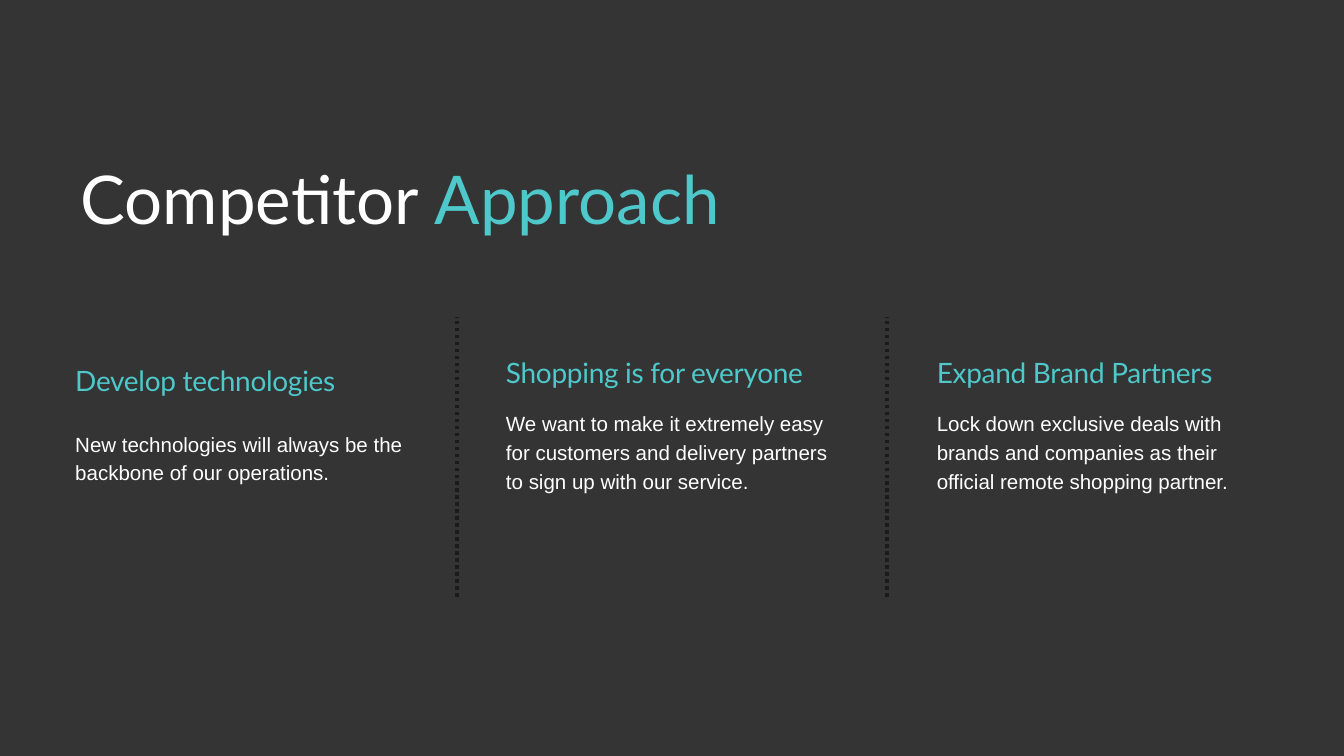
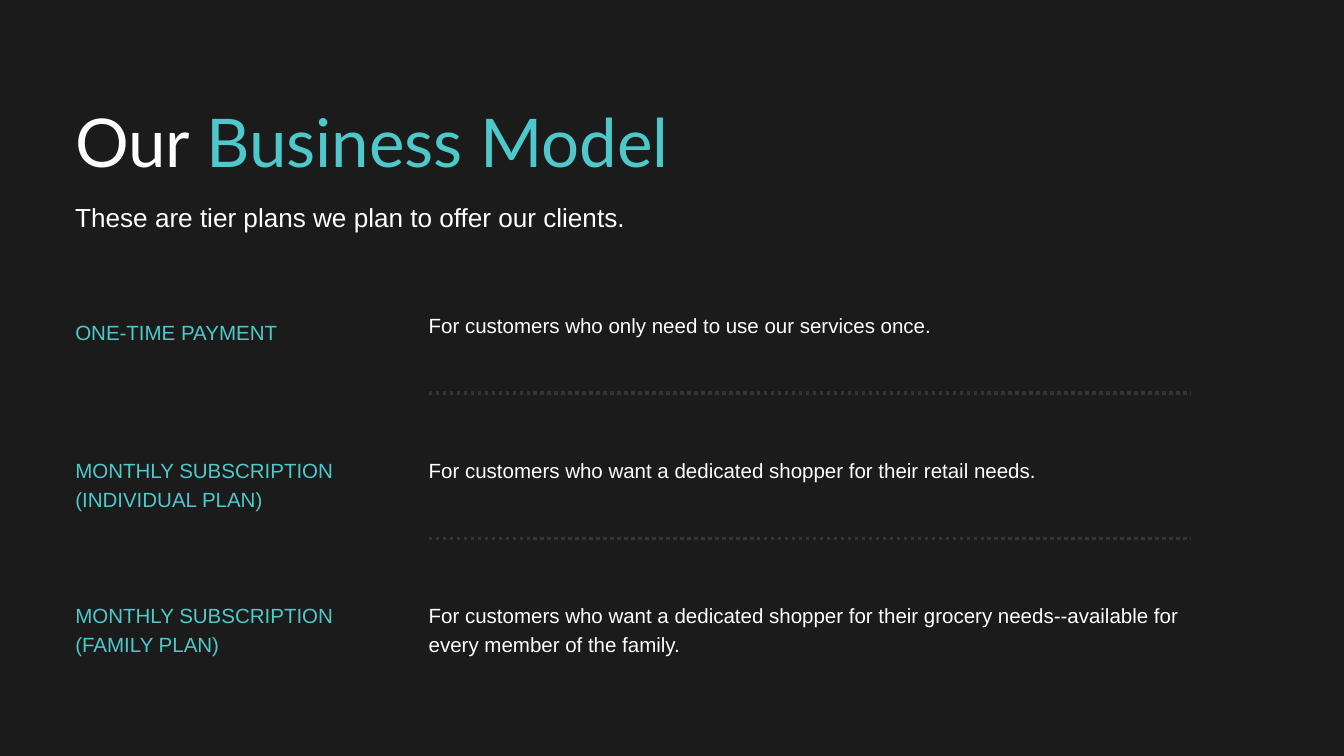
from dataclasses import dataclass

import pptx
import pptx.dml.color
import pptx.enum.dml
import pptx.enum.shapes
import pptx.oxml
import pptx.shapes.shapetree
import pptx.slide
import pptx.util

Inches = pptx.util.Inches
Pt = pptx.util.Pt

COLORS = {
    "charcoal": "343434",
    "black": "1B1B1B",
    "white": "FFFFFF",
    "teal": "4EC8CA",
}
MARGIN = 1.12


@dataclass(frozen=True)
class TextStyle:
    font: str
    size: float
    leading: float
    tracking: int = 0  # hundredths of a point


TITLE = TextStyle("Lato", 72, 86.4)
SUBTITLE = TextStyle("Arial", 28, 39.2)
HEADING = TextStyle("Lato", 30, 36, tracking=-30)
BODY = TextStyle("Arial", 22, 30.8)


@dataclass(frozen=True)
class Approach:
    heading: str
    body: str
    heading_top: float
    body_top: float
    body_height: float


@dataclass(frozen=True)
class Plan:
    label: str
    description: str
    label_top: float
    label_height: float
    description_height: float


APPROACHES = [
    Approach("Develop technologies",
             "New technologies will always be the backbone of our operations.",
             5.41, 6.36, 0.83),
    Approach("Shopping is for everyone",
             "We want to make it extremely easy for customers and delivery "
             "partners to sign up with our service.",
             5.29, 6.06, 1.25),
    Approach("Expand Brand Partners",
             "Lock down exclusive deals with brands and companies as their "
             "official remote shopping partner.",
             5.29, 6.06, 1.25),
]

PLANS = [
    Plan("ONE-TIME PAYMENT",
         "For customers who only need to use our services once.",
         4.7, 0.41, 0.42),
    Plan("MONTHLY SUBSCRIPTION (INDIVIDUAL PLAN)",
         "For customers who want a dedicated shopper for their retail needs.",
         6.76, 0.84, 0.42),
    Plan("MONTHLY SUBSCRIPTION (FAMILY PLAN)",
         "For customers who want a dedicated shopper for their grocery "
         "needs--available for every member of the family.",
         8.91, 0.84, 0.84),
]


def rgb(color: str) -> pptx.dml.color.RGBColor:
    return pptx.dml.color.RGBColor.from_string(COLORS[color])


def add_slide(deck, background: str) -> pptx.slide.Slide:
    slide = deck.slides.add_slide(deck.slide_layouts[6])
    slide.background.fill.solid()
    slide.background.fill.fore_color.rgb = rgb(background)
    return slide


def add_text(shapes, left: float, top: float, width: float, height: float,
             style: TextStyle, *parts: tuple[str, str]) -> None:
    """Write one paragraph made of (text, color) parts."""
    frame = shapes.add_textbox(Inches(left), Inches(top),
                               Inches(width), Inches(height)).text_frame
    frame.word_wrap = True
    frame.margin_left = frame.margin_right = 0
    frame.margin_top = frame.margin_bottom = 0
    paragraph = frame.paragraphs[0]
    paragraph.line_spacing = Pt(style.leading)
    paragraph.font.name = style.font
    paragraph.font.size = Pt(style.size)
    paragraph.font.color.rgb = rgb(parts[0][1])
    for text, color in parts:
        run = paragraph.add_run()
        run.text = text
        if color != parts[0][1]:
            run.font.color.rgb = rgb(color)
        if style.tracking:
            run.font._element.set("spc", str(style.tracking))


def add_title(shapes, left: float, top: float, width: float,
              opening: str, accent: str) -> None:
    add_text(shapes, left, top, width, 1.2, TITLE,
             (opening, "white"), (accent, "teal"))


def add_dotted_line(slide: pptx.slide.Slide, x1: float, y1: float,
                    x2: float, y2: float, color: str) -> None:
    connector = slide.shapes.add_connector(
        pptx.enum.shapes.MSO_CONNECTOR.STRAIGHT,
        Inches(x1), Inches(y1), Inches(x2), Inches(y2))
    connector.line.color.rgb = rgb(color)
    connector.line.width = Pt(3.75)
    connector.line.dash_style = pptx.enum.dml.MSO_LINE.ROUND_DOT
    connector._element.spPr.append(
        pptx.oxml.parse_xml(
            '<a:effectLst xmlns:a='
            '"http://schemas.openxmlformats.org/drawingml/2006/main"/>'))


def build_competitor_approach(deck) -> None:
    slide = add_slide(deck, "charcoal")
    add_title(slide.shapes, 1.2, 2.34, 12.03, "Competitor ", "Approach")

    # Three columns
    column_pitch, column_width = 6.41, 4.94
    for index, approach in enumerate(APPROACHES):
        left = MARGIN + index * column_pitch
        column = slide.shapes.add_group_shape().shapes
        add_text(column, left, approach.body_top, column_width,
                 approach.body_height, BODY, (approach.body, "white"))
        add_text(column, left, approach.heading_top, column_width, 0.5,
                 HEADING, (approach.heading, "teal"))

    # Dividers between the columns
    for x in (6.8, 13.2):
        add_dotted_line(slide, x, 8.88, x, 4.72, "black")


def build_business_model(deck) -> None:
    slide = add_slide(deck, "black")
    header = slide.shapes.add_group_shape().shapes
    add_title(header, MARGIN, 1.49, 16.58, "Our ", "Business Model")
    add_text(header, MARGIN, 2.92, 15.1, 0.51, SUBTITLE,
             ("These are tier plans we plan to offer our clients.", "white"))

    # One row per plan, with a divider below all but the last
    first_top, row_pitch, divider_offset = 4.59, 2.16, 1.26
    description_left, description_width = 6.38, 11.33
    for index, plan in enumerate(PLANS):
        top = first_top + index * row_pitch
        add_text(slide.shapes, description_left, top, description_width,
                 plan.description_height, BODY, (plan.description, "white"))
        add_text(slide.shapes, MARGIN, plan.label_top, 4.42,
                 plan.label_height, BODY, (plan.label, "teal"))
        if index < len(PLANS) - 1:
            y = top + divider_offset
            add_dotted_line(slide, description_left, y,
                            description_left + description_width, y,
                            "charcoal")


def main() -> None:
    deck = pptx.Presentation()
    deck.slide_width = Inches(20)
    deck.slide_height = Inches(11.25)
    build_competitor_approach(deck)
    build_business_model(deck)
    deck.save("out.pptx")


if __name__ == "__main__":
    main()
